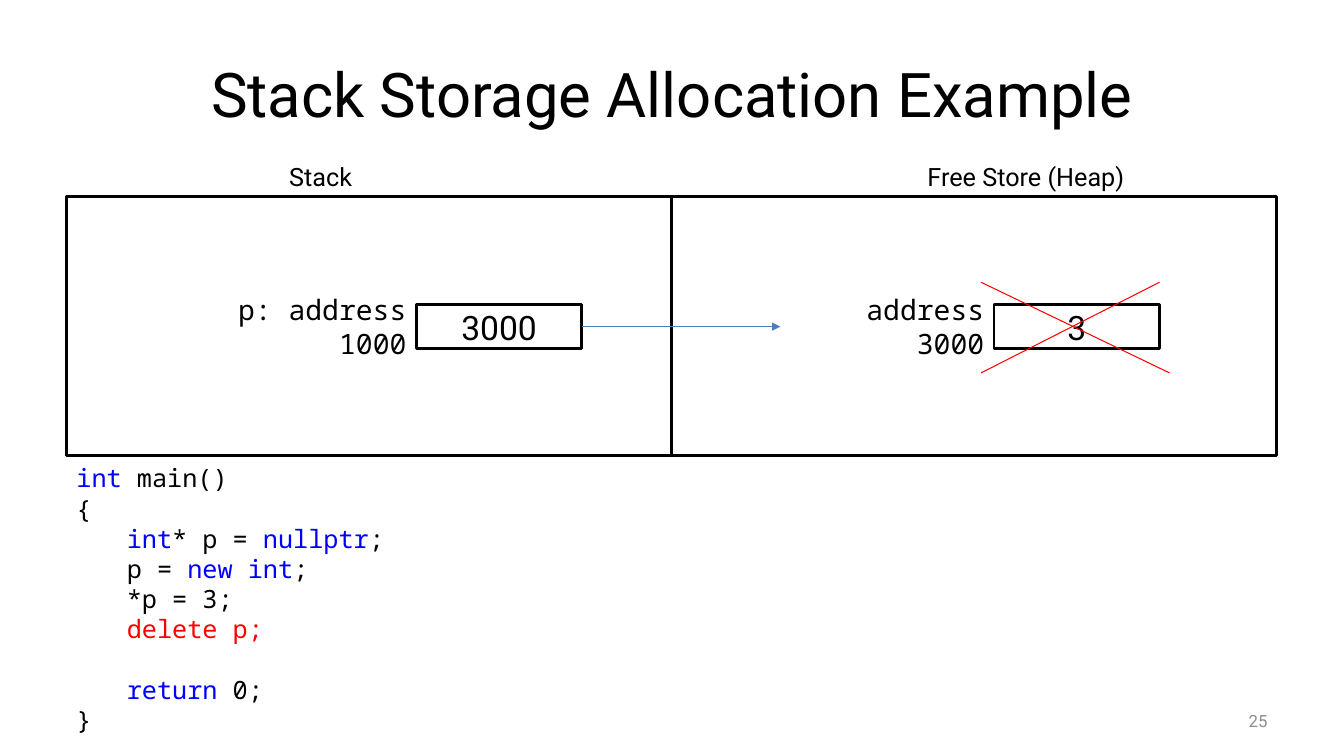
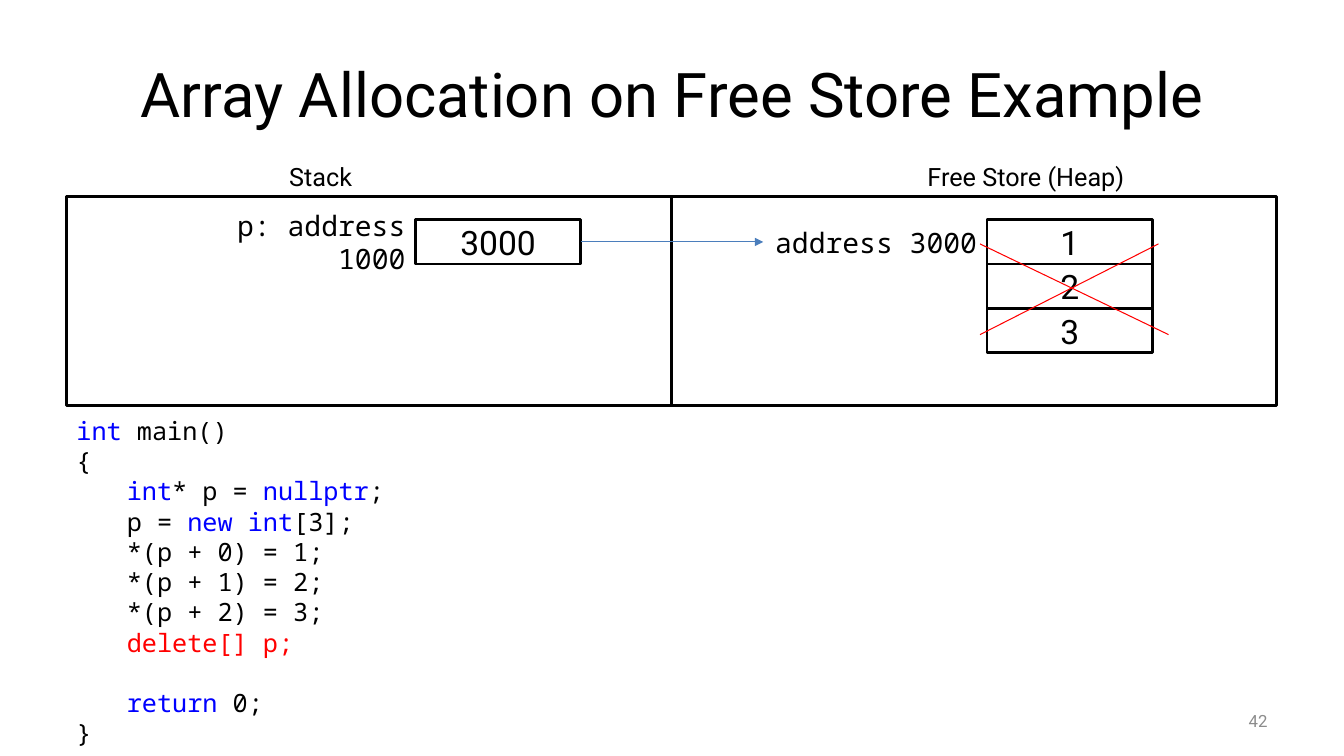
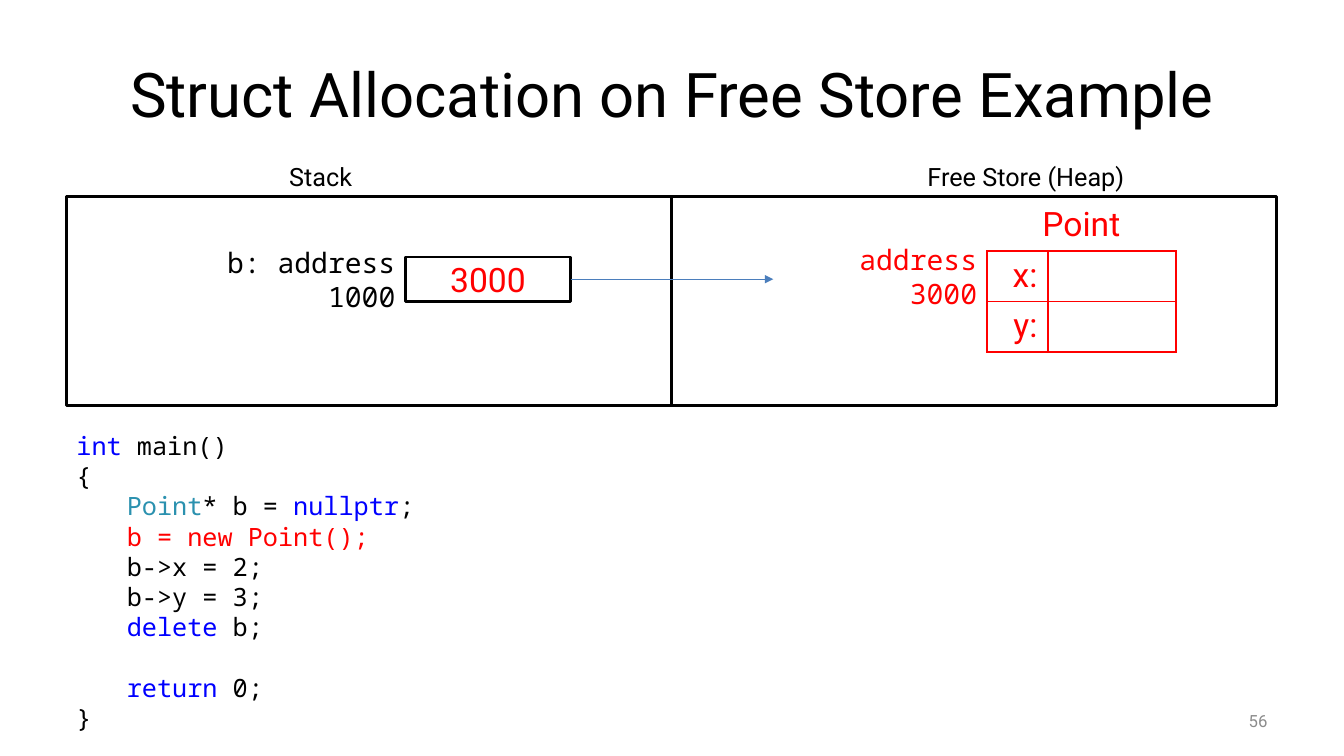
from lxml import etree
from pptx import Presentation
from pptx.dml.color import RGBColor
from pptx.enum.shapes import MSO_CONNECTOR, MSO_SHAPE
from pptx.enum.text import MSO_ANCHOR, PP_ALIGN
from pptx.oxml.ns import qn
from pptx.util import Inches, Pt

LEFT, CENTER, RIGHT = PP_ALIGN.LEFT, PP_ALIGN.CENTER, PP_ALIGN.RIGHT
TOP, MIDDLE = MSO_ANCHOR.TOP, MSO_ANCHOR.MIDDLE
RECTANGLE, STRAIGHT = MSO_SHAPE.RECTANGLE, MSO_CONNECTOR.STRAIGHT

BLACK = RGBColor(0x00, 0x00, 0x00)
WHITE = RGBColor(0xFF, 0xFF, 0xFF)
RED = RGBColor(0xFF, 0x00, 0x00)
KEYWORD = RGBColor(0x00, 0x00, 0xFF)
TYPE_NAME = RGBColor(0x2B, 0x91, 0xAF)
ARROW = RGBColor(0x4B, 0x7E, 0xBC)
GRAY = RGBColor(0x8C, 0x8C, 0x8C)
SANS, MONO = "Roboto", "Noto Sans Mono"

# Memory diagram grid, in inches
PANEL_LEFT, PANEL_TOP, PANEL_WIDTH = 0.66, 1.95, 6
CELL_WIDTH, CELL_HEIGHT = 1.64, 0.44
STACK_LABEL_WIDTH = 2.58


def add_box(page, left, top, width, height, lines, size=24, font=SANS, color=BLACK,
            align=LEFT, anchor=MIDDLE, outlined=False):
    """Add a box; each line is an indent level and a list of (text, color) spans."""
    place = [Inches(length) for length in (left, top, width, height)]
    if outlined:
        box = page.shapes.add_shape(RECTANGLE, *place)
        box.shadow.inherit = False
        box.fill.solid()
        box.fill.fore_color.rgb = WHITE
        box.line.color.rgb = BLACK
        box.line.width = Pt(2)
    else:
        box = page.shapes.add_textbox(*place)
    frame = box.text_frame
    frame.word_wrap = True
    frame.vertical_anchor = anchor
    if isinstance(lines, str):
        lines = [(0, [(lines, color)])]
    for index, (level, spans) in enumerate(lines):
        para = frame.add_paragraph() if index else frame.paragraphs[0]
        para.alignment = align
        if level:
            para.level = level
            para._p.get_or_add_pPr().set("marL", str(Inches(0.5 * level)))
        for text, span_color in spans:
            span = para.add_run()
            span.text = text
            span.font.name = font
            span.font.size = Pt(size)
            span.font.color.rgb = span_color


def add_line(page, start, end, color, arrow=False):
    line = page.shapes.add_connector(
        STRAIGHT, *[Inches(length) for length in (*start, *end)])
    line.line.color.rgb = color
    line.line.width = Pt(0.75)
    properties = line._element.spPr
    if arrow:
        etree.SubElement(line.line._get_or_add_ln(), qn("a:tailEnd"), type="triangle")
    etree.SubElement(properties, qn("a:effectLst"))


# Code listings: the shared opening and closing lines, then one body per slide
opening = [(0, [("int ", KEYWORD), ("main()", BLACK)]), (0, [("{", BLACK)])]
closing = [(1, [("", BLACK)]),
           (1, [("return", KEYWORD), (" 0;", BLACK)]),
           (0, [("}", BLACK)])]
null_pointer = [("int", KEYWORD), ("* p = ", BLACK), ("nullptr", KEYWORD), (";", BLACK)]

stack_code = [
    null_pointer,
    [("p = ", BLACK), ("new int", KEYWORD), (";", BLACK)],
    [("*p = 3;", BLACK)],
    [("delete p;", RED)],
]
array_code = [
    null_pointer,
    [("p = ", BLACK), ("new int", KEYWORD), ("[3];", BLACK)],
    *[[(f"*(p + {offset}) = {offset + 1};", BLACK)] for offset in range(3)],
    [("delete[] p;", RED)],
]
struct_code = [
    [("Point", TYPE_NAME), ("* b = ", BLACK), ("nullptr", KEYWORD), (";", BLACK)],
    [("b = new Point();", RED)],
    [("b->x = 2;", BLACK)],
    [("b->y = 3;", BLACK)],
    [("delete", KEYWORD), (" b;", BLACK)],
]

examples = [
    dict(title="Stack Storage Allocation Example", number="25", panel_height=2.57,
         pointer="p", pointer_color=BLACK, cell=(4.13, 3.02),
         heap_left=9.86, heap_top=3.02, heap_values=["3"], label_width=2.12,
         cross=(9.73, 2.8), code_top=4.54, code=stack_code),
    dict(title="Array Allocation on Free Store Example", number="42", panel_height=2.07,
         pointer="p", pointer_color=BLACK, cell=(4.12, 2.18),
         heap_left=9.79, heap_top=2.18, heap_values=["1", "2", "3"], label_width=2.22,
         cross=(9.72, 2.42), code_top=4.07, code=array_code),
    dict(title="Struct Allocation on Free Store Example", number="56", panel_height=2.07,
         pointer="b", pointer_color=RED, cell=(4.02, 2.55),
         heap_left=9.79, heap_top=2.52, heap_values=[], label_width=2.12,
         cross=None, code_top=4.22, code=struct_code),
]

deck = Presentation()
deck.slide_width, deck.slide_height = Inches(13.33), Inches(7.5)
layout = deck.slide_layouts.get_by_name("Title Only")

# Shared title place
layout_title = layout.placeholders[0]
layout_title.left, layout_title.top = Inches(0.67), Inches(0.3)
layout_title.width, layout_title.height = Inches(12), Inches(1.25)

for example in examples:
    page = deck.slides.add_slide(layout)

    # Title and page number
    title = page.shapes.title.text_frame
    title.text = example["title"]
    title.vertical_anchor = MIDDLE
    para = title.paragraphs[0]
    para.alignment = CENTER
    font = para.runs[0].font
    font.name, font.size, font.color.rgb = SANS, Pt(44), BLACK
    add_box(page, 9.56, 6.95, 3.11, 0.4, example["number"], 12, color=GRAY, align=RIGHT)

    # Stack and heap panels with their headings
    for column, (heading, heading_left) in enumerate(
            [("Stack", 2.77), ("Free Store (Heap)", 9.1)]):
        add_box(page, PANEL_LEFT + column * PANEL_WIDTH, PANEL_TOP, PANEL_WIDTH,
                example["panel_height"], [], outlined=True)
        add_box(page, heading_left, 1.55, 2.42, 0.4, heading, 18, anchor=TOP)

    # Pointer variable on the stack
    cell_left, cell_top = example["cell"]
    add_box(page, cell_left, cell_top, CELL_WIDTH, CELL_HEIGHT, "3000",
            color=example["pointer_color"], align=CENTER, outlined=True)
    add_box(page, cell_left - STACK_LABEL_WIDTH, cell_top, STACK_LABEL_WIDTH, CELL_HEIGHT,
            f"{example['pointer']}: address 1000", 20, MONO, align=RIGHT)

    # Heap cells and their address
    heap_left, heap_top = example["heap_left"], example["heap_top"]
    for row, value in enumerate(example["heap_values"]):
        add_box(page, heap_left, heap_top + row * CELL_HEIGHT, CELL_WIDTH, CELL_HEIGHT,
                value, align=CENTER, outlined=True)
    label_left = heap_left - example["label_width"]
    add_box(page, label_left, heap_top, example["label_width"], CELL_HEIGHT,
            "address 3000", 20, MONO, example["pointer_color"], RIGHT)

    # Arrow from the pointer to the heap
    arrow_top = cell_top + CELL_HEIGHT / 2
    add_line(page, (cell_left + CELL_WIDTH, arrow_top), (label_left, arrow_top), ARROW,
             arrow=True)

    # Cross over freed memory
    if example["cross"]:
        x, y = example["cross"]
        add_line(page, (x, y), (x + 1.87, y + 0.9), RED)
        add_line(page, (x, y + 0.9), (x + 1.77, y), RED)

    # Code listing
    body = [(1, spans) for spans in example["code"]]
    add_box(page, PANEL_LEFT, example["code_top"], 2 * PANEL_WIDTH, 2.83,
            opening + body + closing, 18, MONO, anchor=TOP)

# Point structure on the last slide
table_shape = page.shapes.add_table(3, 2, Inches(9.79), Inches(1.99), Inches(1.87), Inches(1.5))
table = table_shape.table
table.first_row = table.horz_banding = False
table.columns[0].width, table.columns[1].width = Inches(0.6), Inches(1.27)
table.cell(0, 0).merge(table.cell(0, 1))
for row, (name, align) in enumerate([("Point", CENTER), ("x:", RIGHT), ("y:", RIGHT)]):
    table.rows[row].height = Inches(0.5)
    para = table.cell(row, 0).text_frame.paragraphs[0]
    para.text = name
    para.alignment = align
    font = para.runs[0].font
    font.name, font.size, font.color.rgb = SANS, Pt(24), RED
    for column in range(2):
        cell = table.cell(row, column)
        properties = cell._tc.get_or_add_tcPr()
        for side in ("lnL", "lnR", "lnT", "lnB"):
            border = etree.SubElement(properties, qn(f"a:{side}"), w=str(Pt(1.5)))
            if row == 0 and side != "lnB":
                etree.SubElement(border, qn("a:noFill"))
            else:
                paint = etree.SubElement(border, qn("a:solidFill"))
                etree.SubElement(paint, qn("a:srgbClr"), val=str(RED))
        cell.fill.background()

deck.save("out.pptx")
